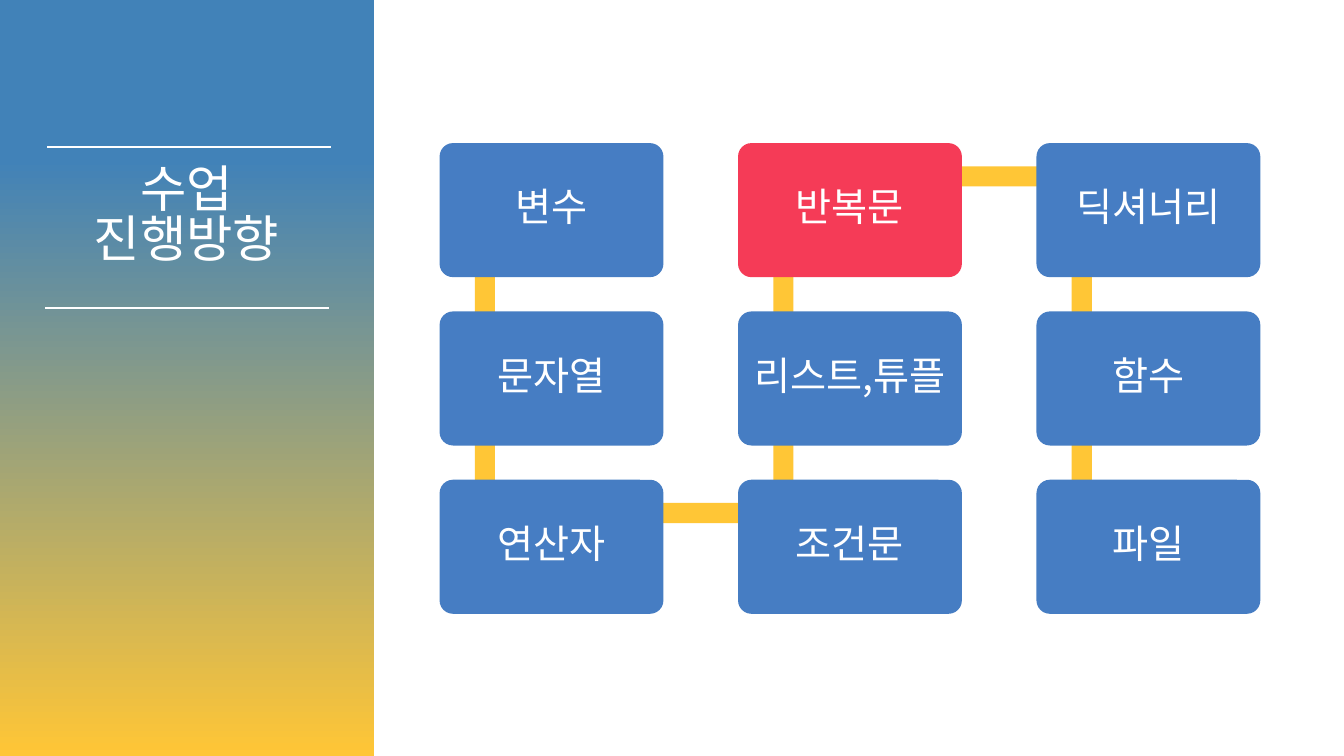
from dataclasses import dataclass
from itertools import pairwise

from lxml import etree
from pptx import Presentation, util as u
from pptx.dml.color import RGBColor
from pptx.enum import shapes, text
from pptx.oxml.ns import qn

FONT = "Noto Sans CJK KR"
WHITE, BLUE, RED, YELLOW = "FFFFFF", "467DC3", "F53B57", "FFC636"

# Lesson grid, in inches
GRID_LEFT, GRID_TOP = 4.36, 1.42
COLUMN, ROW = 2.96, 1.67
CARD_WIDTH, CARD_HEIGHT = 2.22, 1.33
JOINT_X, JOINT_Y = 0.45, 0.33
TRACK = 0.2
SIDEBAR_WIDTH = 3.71


@dataclass(frozen=True)
class Lesson:
    topic: str
    column: int
    row: int
    color: str = BLUE

    @property
    def left(self) -> float:
        return GRID_LEFT + self.column * COLUMN

    @property
    def top(self) -> float:
        return GRID_TOP + self.row * ROW

    @property
    def joint(self) -> tuple[float, float]:
        return self.left + JOINT_X, self.top + JOINT_Y


@dataclass(frozen=True)
class Rule:
    left: float
    top: float
    width: float = 2.81


# Lessons in teaching order, snaking through the grid
LESSONS = [
    Lesson("변수", 0, 0),
    Lesson("문자열", 0, 1),
    Lesson("연산자", 0, 2),
    Lesson("조건문", 1, 2),
    Lesson("리스트,튜플", 1, 1),
    Lesson("반복문", 1, 0, RED),
    Lesson("딕셔너리", 2, 0),
    Lesson("함수", 2, 1),
    Lesson("파일", 2, 2),
]
RULES = [Rule(0.47, 1.46), Rule(0.45, 3.06)]


def rgb(value: str) -> RGBColor:
    return RGBColor.from_string(value)


def write(shape, content: str, *, size: float, color: str = WHITE,
          anchor=text.MSO_ANCHOR.MIDDLE, inset_x: float = 0.1,
          inset_y: float = 0.05, spacing: float = 0.83) -> None:
    frame = shape.text_frame
    frame.word_wrap = True
    frame.vertical_anchor = anchor
    frame.margin_left = frame.margin_right = u.Inches(inset_x)
    frame.margin_top = frame.margin_bottom = u.Inches(inset_y)
    frame.text = content
    for paragraph in frame.paragraphs:
        paragraph.alignment = text.PP_ALIGN.CENTER
        paragraph.line_spacing = spacing
        for run in paragraph.runs:
            run.font.size = u.Pt(size)
            run.font.name = FONT
            run.font.color.rgb = rgb(color)
            east_asian = etree.SubElement(run.font._element, qn("a:ea"))
            east_asian.set("typeface", FONT)


def add_block(slide, kind, left: float, top: float, width: float,
              height: float, color: str):
    block = slide.shapes.add_shape(
        kind, *(u.Inches(v) for v in (left, top, width, height)))
    block.shadow.inherit = False
    block.fill.solid()
    block.fill.fore_color.rgb = rgb(color)
    block.line.fill.background()
    return block


def add_rule(slide, rule: Rule) -> None:
    line = slide.shapes.add_connector(
        shapes.MSO_CONNECTOR.STRAIGHT, u.Inches(rule.left), u.Inches(rule.top),
        u.Inches(rule.left + rule.width), u.Inches(rule.top))
    line.line.color.rgb = rgb(WHITE)
    line.line.width = u.Pt(1.5)
    etree.SubElement(line._element.spPr, qn("a:effectLst"))


def add_sidebar(slide, height: float) -> None:
    sidebar = add_block(slide, shapes.MSO_SHAPE.RECTANGLE, 0, 0,
                        SIDEBAR_WIDTH, height, YELLOW)
    sidebar.fill.gradient()
    sidebar.fill.gradient_angle = 270
    stops = [(0.21, "4182B8"), (1, YELLOW)]
    for stop, (position, color) in zip(sidebar.fill.gradient_stops, stops):
        stop.position = position
        stop.color.rgb = rgb(color)
    for rule in RULES:
        add_rule(slide, rule)


def add_title(slide) -> None:
    title = slide.shapes.title
    title.left, title.top = 0, u.Inches(1.61)
    title.width, title.height = u.Inches(3.7), u.Inches(1.31)
    write(title, "수업\n진행방향", size=36, anchor=text.MSO_ANCHOR.TOP)
    # Bring the title in front of the sidebar
    slide.shapes.element.append(title.element)


def add_track(slide, start: Lesson, end: Lesson) -> None:
    (x1, y1), (x2, y2) = start.joint, end.joint
    vertical = start.column == end.column
    width, height = (TRACK, abs(y2 - y1)) if vertical else (x2 - x1, TRACK)
    left = x1 - TRACK / 2 if vertical else x1
    top = min(y1, y2) if vertical else y1 - TRACK / 2
    add_block(slide, shapes.MSO_SHAPE.RECTANGLE, left, top, width, height, YELLOW)


def add_card(slide, lesson: Lesson) -> None:
    card = add_block(slide, shapes.MSO_SHAPE.ROUNDED_RECTANGLE, lesson.left,
                     lesson.top, CARD_WIDTH, CARD_HEIGHT, lesson.color)
    card.adjustments[0] = 0.1
    write(card, lesson.topic, size=28, inset_x=0.12, inset_y=0.12)


def main() -> None:
    deck = Presentation()
    deck.slide_width, deck.slide_height = u.Inches(13.33), u.Inches(7.5)
    slide = deck.slides.add_slide(deck.slide_layouts[5])

    # Sidebar with the title
    add_sidebar(slide, deck.slide_height.inches)
    add_title(slide)

    # Tracks lie behind the lesson cards
    for start, end in pairwise(LESSONS):
        add_track(slide, start, end)
    for lesson in LESSONS:
        add_card(slide, lesson)

    deck.save("out.pptx")


if __name__ == "__main__":
    main()
